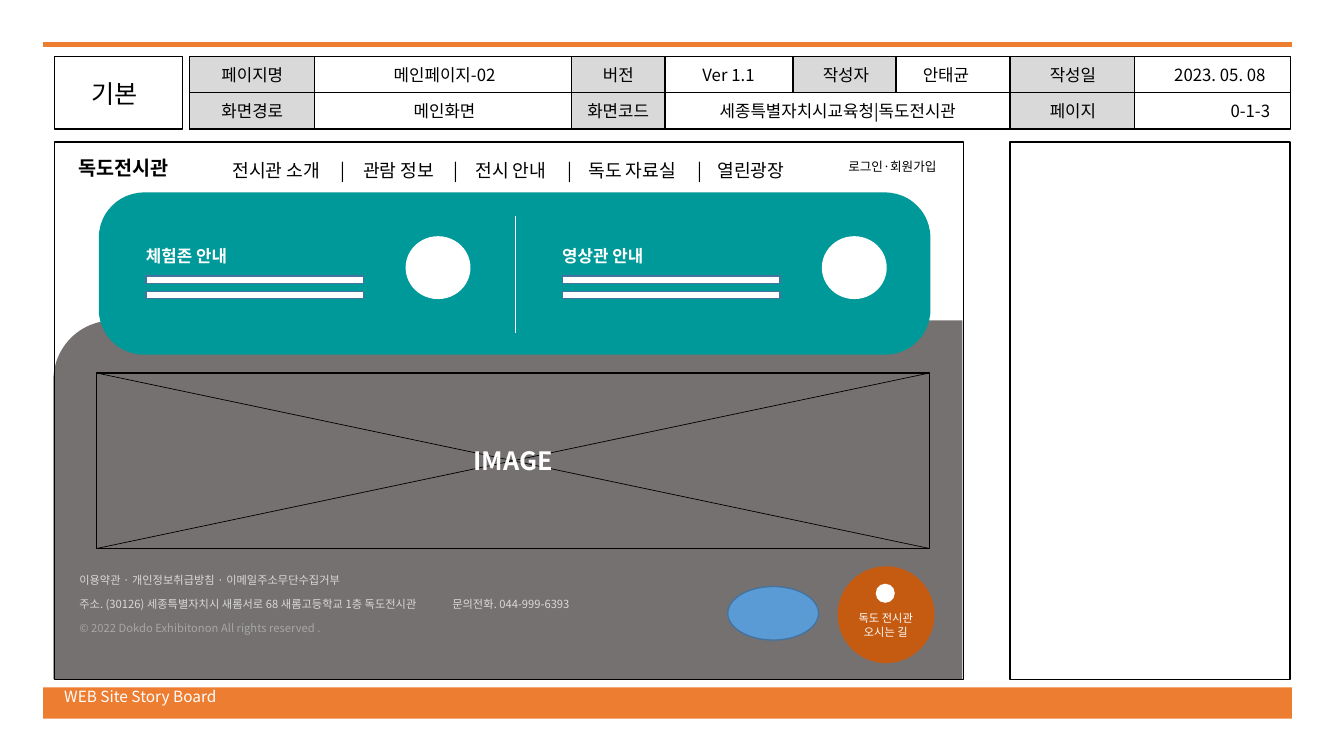
from lxml.etree import SubElement
from pptx import Presentation
from pptx.dml.color import RGBColor
from pptx.enum.shapes import MSO_CONNECTOR, MSO_SHAPE as SHAPE
from pptx.enum.text import MSO_ANCHOR, MSO_AUTO_SIZE as AUTO, PP_ALIGN as ALIGN
from pptx.oxml.ns import qn
from pptx.util import Cm, Pt

FONT = "Noto Sans CJK KR"
BLACK, WHITE, ORANGE, LABEL, BLUE = "000000", "FFFFFF", "ED7D31", "D9D9D9", "43739E"

# Header: left, width and number of rows of the grey label cells
HEADER_X, HEADER_Y, HEADER_W, ROW_H = 4.78, 1.42, 27.74, 0.915
LABEL_CELLS = [(4.78, 3.15, 2), (14.4, 2.36, 2), (25.45, 3.15, 2), (19.99, 2.59, 1)]
# Header texts per row: text, left, width, alignment
HEADER_ROWS = [
    [("페이지명", 5.18, 2.36, "c"), ("메인페이지-02", 8.41, 5.59, "c"),
     ("버전", 14.86, 1.45, "c"), ("Ver 1.1", 17.37, 1.98, "c"),
     ("작성자", 20.37, 1.9, "c"), ("안태균", 22.89, 1.9, "c"),
     ("작성일", 26.09, 1.9, "c"), ("2023. 05. 08", 29.21, 3.07, "c")],
    [("화면경로", 5.18, 2.36, "c"), ("메인화면", 8.41, 5.59, "c"),
     ("화면코드", 14.4, 2.36, "c"), ("세종특별자치시교육청|독도전시관", 17.42, 7.39, "c"),
     ("페이지", 26.09, 1.9, "c"), ("0-1-3", 30.56, 1.7, "r")],
]
MENU = ["전시관 소개", "관람 정보", "전시 안내", "독도 자료실", "열린광장"]
MENU_TABS = [2.73, 3.29, 5.58, 6.12, 8.43, 8.97, 11.73, 12.22]
ZONES = [("체험존 안내", 3.68), ("영상관 안내", 14.17)]
FOOTER = [
    ("이용약관 · 개인정보취급방침 · 이메일주소무단수집거부", LABEL),
    ("주소. (30126) 세종특별자치시 새롬서로 68 새롬고등학교 1층 독도전시관\t문의전화. 044-999-6393", LABEL),
    ("© 2022 Dokdo Exhibitonon All rights reserved .", "A6A6A6"),
]
ALIGNS = {"l": ALIGN.LEFT, "c": ALIGN.CENTER, "r": ALIGN.RIGHT}


def rgb(value):
    return RGBColor.from_string(value)


def box(x, y, w, h, fill=None, line=None, kind=SHAPE.RECTANGLE):
    s = slide.shapes.add_shape(kind, Cm(x), Cm(y), Cm(w), Cm(h))
    s.shadow.inherit = False
    if fill:
        s.fill.solid()
        s.fill.fore_color.rgb = rgb(fill)
    else:
        s.fill.background()
    if line:
        s.line.color.rgb = rgb(line)
        s.line.width = Pt(1)
    else:
        s.line.fill.background()
    return s


def rule(x1, y1, x2, y2, color=BLACK, width=0.5):
    c = slide.shapes.add_connector(MSO_CONNECTOR.STRAIGHT, Cm(x1), Cm(y1), Cm(x2), Cm(y2))
    c.line.color.rgb = rgb(color)
    c.line.width = Pt(width)
    SubElement(c._element.spPr, qn("a:effectLst"))
    return c


def write(tf, lines, size, align="l", bold=False, gap=0, tabs=()):
    """Fill a text frame with (text, colour) lines; gap is the space between them."""
    for i, (text, color) in enumerate(lines):
        p = tf.add_paragraph() if i else tf.paragraphs[0]
        if tabs:
            tab_list = SubElement(p._p.get_or_add_pPr(), qn("a:tabLst"))
            for pos in tabs:
                SubElement(tab_list, qn("a:tab"), pos=str(Cm(pos)), algn="l")
        p.alignment = ALIGNS[align]
        if i and gap:
            p.space_before = Pt(gap)
        r = p.add_run()
        r.text = text
        for name, value in {"name": FONT, "size": Pt(size), "bold": bold}.items():
            setattr(r.font, name, value)
        r.font.color.rgb = rgb(color)
        SubElement(r._r.get_or_add_rPr(), qn("a:ea"), typeface=FONT)


def label(x, y, w, h, lines, size, align="l", wrap=True, **style):
    tf = slide.shapes.add_textbox(Cm(x), Cm(y), Cm(w), Cm(h)).text_frame
    tf.word_wrap = wrap
    tf.auto_size = AUTO.SHAPE_TO_FIT_TEXT
    write(tf, lines, size, align, **style)


prs = Presentation()
prs.slide_width, prs.slide_height = Cm(33.87), Cm(19.05)
slide = prs.slides.add_slide(prs.slide_layouts[5])

# Page frame
lower = box(8.28, 1.14, 9.04, 22.91, "767171", kind=SHAPE.ROUND_1_RECTANGLE)
lower.rotation = 270
box(1.09, 17.32, 31.47, 0.79, ORANGE)
label(1.37, 17.2, 5.74, 0.74, [("WEB Site Story Board", WHITE)], 11)
rule(1.09, 1.12, 32.56, 1.12, ORANGE, 3)
for x, w in [(1.37, 22.91), (25.45, 7.06)]:
    box(x, 3.58, w, 13.54, line=BLACK)

# Header
box(1.37, HEADER_Y, 3.23, 2 * ROW_H, line=BLACK)
title = slide.shapes.title
for name, value in {"left": 1.93, "top": 1.85, "width": 1.9, "height": 1.02}.items():
    setattr(title, name, Cm(value))
tf = title.text_frame
for name, value in {"word_wrap": True, "auto_size": AUTO.NONE,
                    "vertical_anchor": MSO_ANCHOR.MIDDLE}.items():
    setattr(tf, name, value)
write(tf, [("기본", BLACK)], 18, "c")

header = box(HEADER_X, HEADER_Y, HEADER_W, 2 * ROW_H, line=BLACK)
for x, w, rows in LABEL_CELLS:
    box(x, HEADER_Y, w, rows * ROW_H, LABEL, BLACK)
middle = HEADER_Y + ROW_H
divider = rule(HEADER_X, middle, HEADER_X + HEADER_W, middle, width=1)
divider.begin_connect(header, 1)
divider.end_connect(header, 3)
for row, cells in enumerate(HEADER_ROWS):
    for text, x, w, align in cells:
        label(x, HEADER_Y + 0.08 + row * ROW_H, w, 0.76, [(text, BLACK)], 12, align)

# Site menu
label(1.73, 3.81, 3, 0.86, [("독도전시관", BLACK)], 14, wrap=False, bold=True)
label(5.61, 3.89, 15, 0.81, [("\t|\t".join(MENU), BLACK)], 13, tabs=MENU_TABS)
label(21.03, 3.89, 2.82, 0.64, [("로그인·회원가입", BLACK)], 9, "r", wrap=False)

# Image area
left, top, right, bottom = 2.44, 9.4, 23.42, 13.82
box(left, top, right - left, bottom - top, line=BLACK)
rule(left, top, right, bottom)
rule(left, bottom, right, top)
label(11.56, 11.1, 2.74, 1.02, [("IMAGE", WHITE)], 18, "c", bold=True)

# Teal banner with two zones
banner = box(2.49, 4.85, 20.96, 4.09, "009999", kind=SHAPE.ROUNDED_RECTANGLE)
banner.adjustments[0] = 0.279
rule(12.98, 5.44, 12.98, 8.38, WHITE)
for name, x in ZONES:
    label(x - 0.25, 6.07, 2.79, 0.76, [(name, WHITE)], 12, wrap=False, bold=True)
    for y in (6.96, 7.34):
        box(x, y, 5.49, 0.18, WHITE, BLUE)
    box(x + 6.56, 5.97, 1.6, 1.55, WHITE, WHITE, SHAPE.OVAL)

# Site footer
label(1.75, 14.33, 14.55, 2.31, FOOTER, 8, gap=7.3, tabs=[9.4])
box(18.34, 14.78, 2.29, 1.35, "5B9BD5", BLUE, SHAPE.OVAL)
box(21.11, 14.27, 2.44, 2.44, "C55A11", kind=SHAPE.OVAL)
label(21.31, 15.29, 2.03, 0.94, [("독도 전시관", WHITE), ("오시는 길", WHITE)], 8, "c", wrap=False)
box(22.07, 14.71, 0.48, 0.48, WHITE, kind=SHAPE.OVAL)

prs.save("out.pptx")
